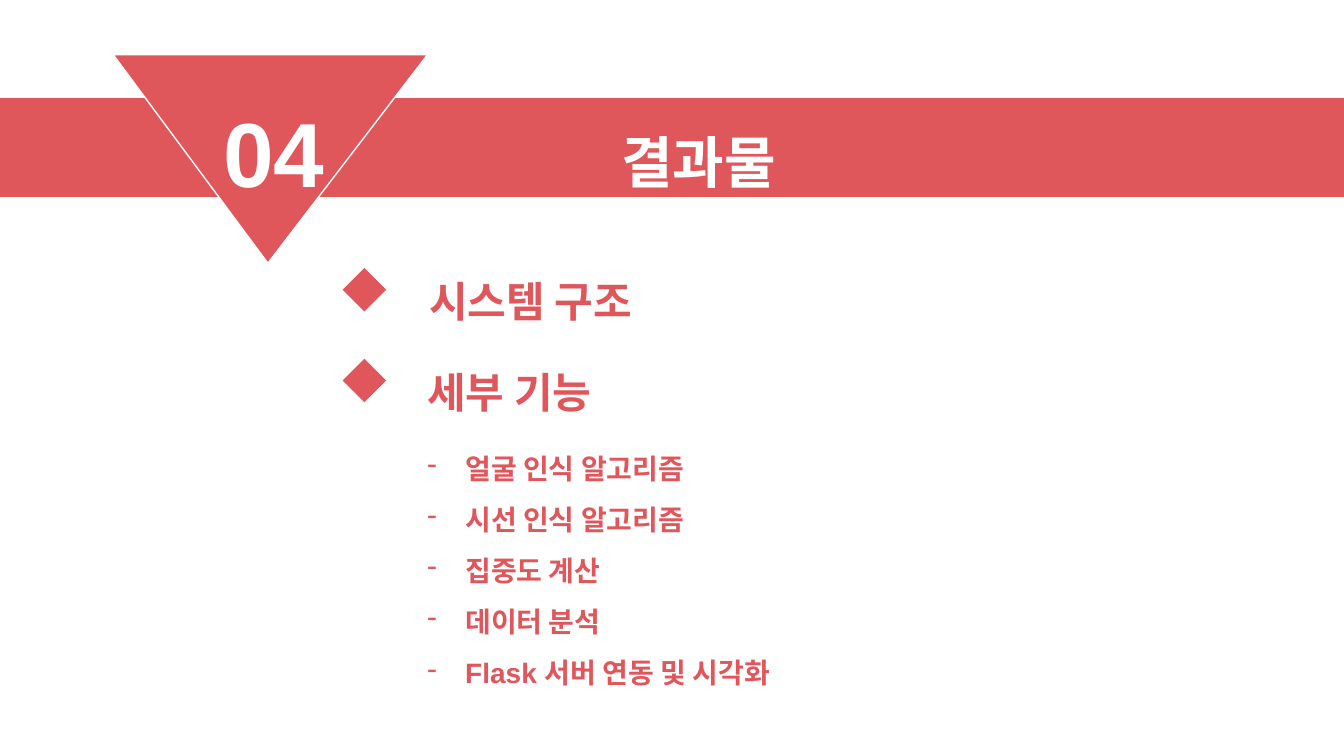
from pptx import Presentation
from pptx.dml.color import RGBColor
from pptx.enum.shapes import MSO_SHAPE as Kind
from pptx.enum.text import MSO_ANCHOR as Anchor, MSO_AUTO_SIZE as Fit, PP_ALIGN as Align
from pptx.oxml.ns import qn
from pptx.util import Pt
from lxml.etree import SubElement

RED = RGBColor(0xDF, 0x56, 0x5B)
WHITE = RGBColor(0xFF, 0xFF, 0xFF)
TOPICS = [("시스템 구조", 15.2), ("세부 기능", 0)]
TASKS = ["얼굴 인식 알고리즘", "시선 인식 알고리즘", "집중도 계산",
         "데이터 분석", "Flask 서버 연동 및 시각화"]


def place(shape, x, y, w, h):
    shape.left, shape.top, shape.width, shape.height = Pt(x), Pt(y), Pt(w), Pt(h)


def draw(slide, kind, x, y, w, h):
    shape = slide.shapes.add_shape(kind, Pt(x), Pt(y), Pt(w), Pt(h))
    shape.shadow.inherit = False
    shape.fill.solid()
    shape.fill.fore_color.rgb = RED
    shape.line.fill.background()
    return shape


def style(para, size, color, space=1.2, align=Align.CENTER):
    para.alignment = align
    para.line_spacing = space
    para.space_before = Pt(0)
    font = para.font
    font.name, font.size, font.bold = "Arial", Pt(size), True
    font.color.rgb = color


def setup(frame):
    frame.margin_left = frame.margin_top = 0
    frame.margin_right = frame.margin_bottom = 0
    frame.word_wrap = True
    frame.auto_size = Fit.NONE
    frame.vertical_anchor = Anchor.TOP
    return frame


def label(slide, text, x, y, w, h, size, color):
    box = slide.shapes.add_textbox(Pt(x), Pt(y), Pt(w), Pt(h))
    frame = setup(box.text_frame)
    frame.text = text
    style(frame.paragraphs[0], size, color)


def header(slide, x, y, w, h):
    band = draw(slide, Kind.PARALLELOGRAM, x, y + 30.8, w, 70.8)
    band.adjustments[0] = 0
    title = slide.shapes.title
    place(title, x + 349.2, y + 42.7, 299.5, 56)
    setup(title.text_frame).text = "결과물"
    style(title.text_frame.paragraphs[0], 40, WHITE)
    band.element.addnext(title.element)
    mark = draw(slide, Kind.ISOSCELES_TRIANGLE, x + 80.8, y, 224.6, h)
    mark.rotation = 180
    mark.adjustments[0] = 0.508
    mark.line.color.rgb = WHITE
    mark.line.width = Pt(1)
    label(slide, "04", x + 72.7, y + 14.4, 245.5, 90, 65, WHITE)


def topics(slide, x, y, w, step):
    for i, (text, shift) in enumerate(TOPICS):
        top = y + i * step
        draw(slide, Kind.DIAMOND, x, top, 31, 31)
        label(slide, text, x - 5.8 + shift, top - 1.6, w, 42, 30, RED)


def tasks(slide, x, y, w, h):
    box = slide.shapes.add_textbox(Pt(x), Pt(y), Pt(w), Pt(h))
    frame = setup(box.text_frame)
    for i, text in enumerate(TASKS):
        para = frame.add_paragraph() if i else frame.paragraphs[0]
        para.text = text
        props = para._p.get_or_add_pPr()
        props.set("marL", str(Pt(27)))
        props.set("indent", str(Pt(-27)))
        SubElement(props, qn("a:buFontTx"))
        SubElement(props, qn("a:buChar")).set("char", "-")
        style(para, 20, RED, 1.3, Align.LEFT)
        if i:
            para.space_before = Pt(5.3)


def main():
    deck = Presentation()
    deck.slide_width, deck.slide_height = Pt(960), Pt(540)
    slide = deck.slides.add_slide(deck.slide_layouts[5])
    header(slide, 0, 39, 960, 149)
    topics(slide, 244.8, 191.5, 249.8, 64.8)
    tasks(slide, 305.3, 315, 306, 190)
    deck.save("out.pptx")


if __name__ == "__main__":
    main()
